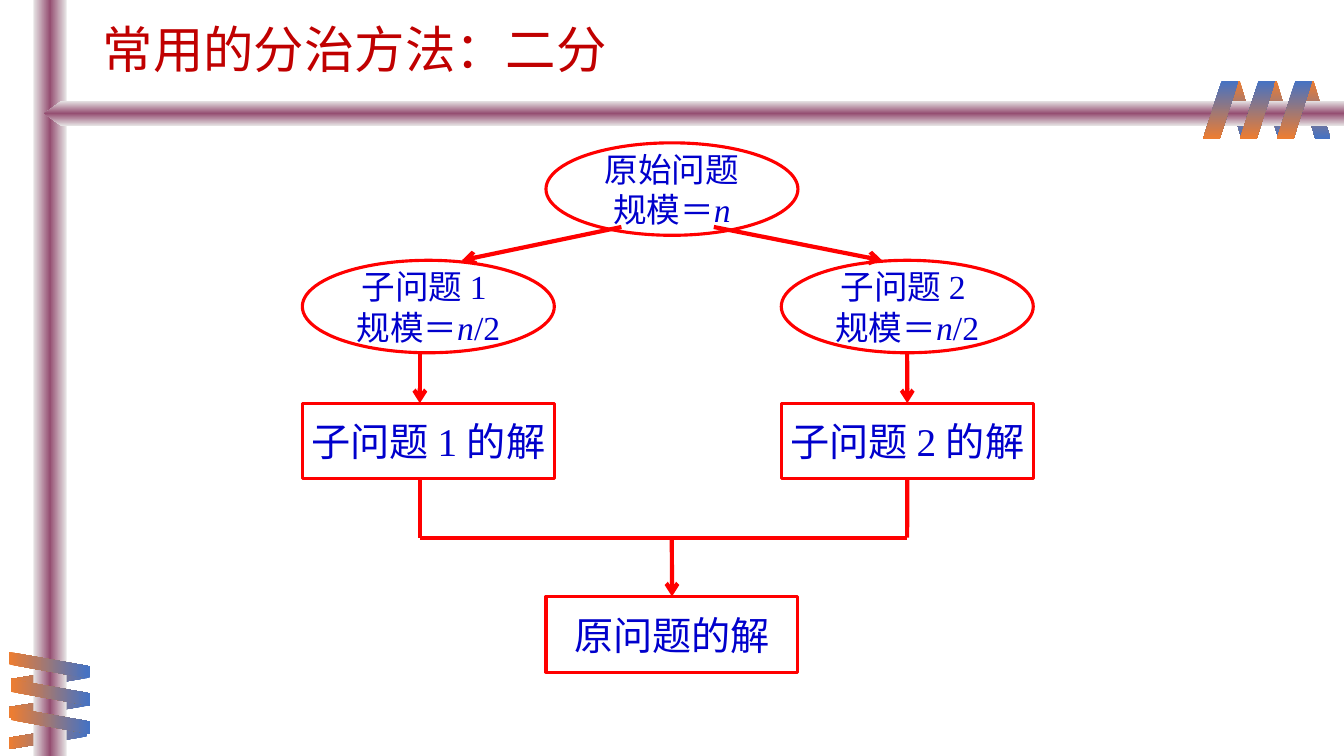
from copy import deepcopy

from pptx import Presentation, util as u
from pptx.dml.color import RGBColor
from pptx.enum import shapes, text
from pptx.oxml.ns import qn
from pptx.oxml.xmlchemy import OxmlElement

KIND = shapes.MSO_SHAPE
RED, BLUE, TITLE_RED = "FF0000", "0000CC", "C00000"
RIBBON_BLUE, RIBBON_ORANGE = "4472C4", "ED7D31"
BAR = ["E7E6E6", "954F72", "E7E6E6"]


def colour(code):
    return RGBColor.from_string(code)


def write(box, lines, size=24, ink=BLUE, align=text.PP_ALIGN.CENTER,
          wrap=False, spacing=None):
    """Each line is a list of spans; the variable n is set in italics."""
    frame = box.text_frame
    frame.word_wrap = wrap
    frame.vertical_anchor = text.MSO_ANCHOR.MIDDLE
    for index, spans in enumerate(lines):
        para = frame.add_paragraph() if index else frame.paragraphs[0]
        para.alignment = align
        para.line_spacing = spacing
        for words in spans:
            span = para.add_run()
            span.text = words
            span.font.name = "Times New Roman"
            span.font.size = u.Pt(size)
            span.font.italic = words == "n"
            span.font.color.rgb = colour(ink)


class Slide:
    def __init__(self, deck):
        self.page = deck.slides.add_slide(deck.slide_layouts[6])
        self.ink = RED
        self.outline, self.stroke = u.Pt(2.25), u.Pt(3)

    def shape(self, kind, left, top, width, height):
        box = self.page.shapes.add_shape(
            kind, u.Cm(left), u.Cm(top), u.Cm(width), u.Cm(height))
        box.shadow.inherit = False
        return box

    def shaded(self, kind, place, colours, angle, adjust=None, turn=0, flip=False):
        box = self.shape(kind, *place)
        box.line.fill.background()
        box.rotation = turn
        if adjust is not None:
            box.adjustments[0] = adjust
        if flip:
            box._element.spPr.find(qn("a:xfrm")).set("flipH", "1")
        box.fill.gradient()
        box.fill.gradient_angle = -angle % 360
        gradient = box._element.spPr.find(qn("a:gradFill"))
        gradient.set("rotWithShape", "0")
        stops = gradient.find(qn("a:gsLst"))
        while len(stops) < len(colours):
            stops.append(deepcopy(stops[0]))
        for index, (stop, code) in enumerate(zip(box.fill.gradient_stops, colours)):
            stop.position = index / (len(colours) - 1)
            stop.color.rgb = colour(code)

    def ribbon(self, places, size, colours, angle, **pose):
        for place in places:
            self.shaded(KIND.PARALLELOGRAM, (*place, *size), colours, angle,
                        adjust=0.53, **pose)

    def node(self, kind, left, top, height, lines, size):
        box = self.shape(kind, left, top, NODE_WIDTH, height)
        box.fill.background()
        box.line.color.rgb = colour(self.ink)
        box.line.width = self.outline
        write(box, lines, size=size)
        return box

    def ellipse(self, left, top, lines):
        return self.node(KIND.OVAL, left, top, 2.33, lines, 24)

    def answer(self, left, top, words):
        return self.node(KIND.RECTANGLE, left, top, 1.91, [[words]], 28)

    def line(self, start, end, arrow=False, begin_box=None, end_box=None):
        link = self.page.shapes.add_connector(
            shapes.MSO_CONNECTOR.STRAIGHT, *(u.Cm(v) for v in (*start, *end)))
        link.line.color.rgb = colour(self.ink)
        link.line.width = self.stroke
        if arrow:
            tail = OxmlElement("a:tailEnd")
            tail.set("type", "arrow")
            link.line._get_or_add_ln().append(tail)
        link._element.spPr.append(OxmlElement("a:effectLst"))
        if begin_box is not None:
            link.begin_connect(begin_box, 2)
        if end_box is not None:
            link.end_connect(end_box, 0)

    def title(self, words):
        box = self.page.shapes.add_textbox(
            u.Cm(2.34), u.Cm(0.43), u.Cm(30.73), u.Cm(1.78))
        write(box, [[words]], size=36, ink=TITLE_RED, wrap=True,
              align=text.PP_ALIGN.LEFT, spacing=0.9)


NODE_WIDTH = 6.35
LEFT, MIDDLE, RIGHT = 7.62, 13.76, 19.69
LEFT_STEM, CENTRE, RIGHT_STEM = 10.58, 16.93, 22.86
SPLIT_TOP, SPLIT_BOTTOM = 6.56, 8.89
ANSWER_TOP, ANSWER_BOTTOM, BUS, RESULT_TOP = 10.16, 12.07, 13.55, 15.03


def main():
    deck = Presentation()
    deck.slide_width, deck.slide_height = u.Cm(33.87), u.Cm(19.05)
    slide = Slide(deck)
    cool, warm = [RIBBON_BLUE, RIBBON_ORANGE], [RIBBON_ORANGE, RIBBON_BLUE]

    # Vertical bar wrapped by a ribbon
    slide.ribbon([(0.97, 16.1), (0.91, 16.81), (0.91, 17.58)], (0.61, 1.98),
                 cool, 0, turn=90, flip=True)
    slide.shaded(KIND.RECTANGLE, (0.84, 0, 0.84, 19.05), BAR, 0)
    slide.ribbon([(0.89, 15.77), (0.94, 16.46), (0.94, 17.17)], (0.66, 1.98),
                 warm, 0, turn=270)

    # Horizontal bar wrapped by a ribbon
    slide.ribbon([(32.72 - 0.93 * i, 2.03) for i in range(3)], (0.81, 1.47),
                 warm, 90, turn=180, flip=True)
    slide.shaded(KIND.PENTAGON, (1.12, 2.54, 32.75, 0.64), BAR, 90,
                 adjust=0.68, flip=True)
    slide.ribbon([(32.18 - 0.93 * i, 2.03) for i in range(3)], (0.89, 1.47),
                 cool, 90)

    slide.title("常用的分治方法：二分")

    # Original problem and its two halves
    slide.ellipse(MIDDLE, 3.6, [["原始问题"], ["规模＝", "n"]])
    for start, end in ((15.66, 11.64), (17.99, 22.23)):
        slide.line((start, 5.72), (end, SPLIT_TOP), arrow=True)

    # Each half with its answer
    for number, left, stem in ((1, LEFT, LEFT_STEM), (2, RIGHT, RIGHT_STEM)):
        slide.ellipse(left, SPLIT_TOP,
                      [[f"子问题 {number} "], ["规模＝", "n", "/2"]])
        answer = slide.answer(left, ANSWER_TOP, f"子问题 {number} 的解")
        joined = answer if number == 2 else None
        slide.line((stem, SPLIT_BOTTOM), (stem, ANSWER_TOP), arrow=True,
                   end_box=joined)
        slide.line((stem, ANSWER_BOTTOM), (stem, BUS), begin_box=joined)

    # Merge into the final answer
    result = slide.answer(MIDDLE, RESULT_TOP, "原问题的解")
    slide.line((LEFT_STEM, BUS), (RIGHT_STEM, BUS))
    slide.line((CENTRE, BUS), (CENTRE, RESULT_TOP), arrow=True, end_box=result)

    deck.save("out.pptx")


if __name__ == "__main__":
    main()
